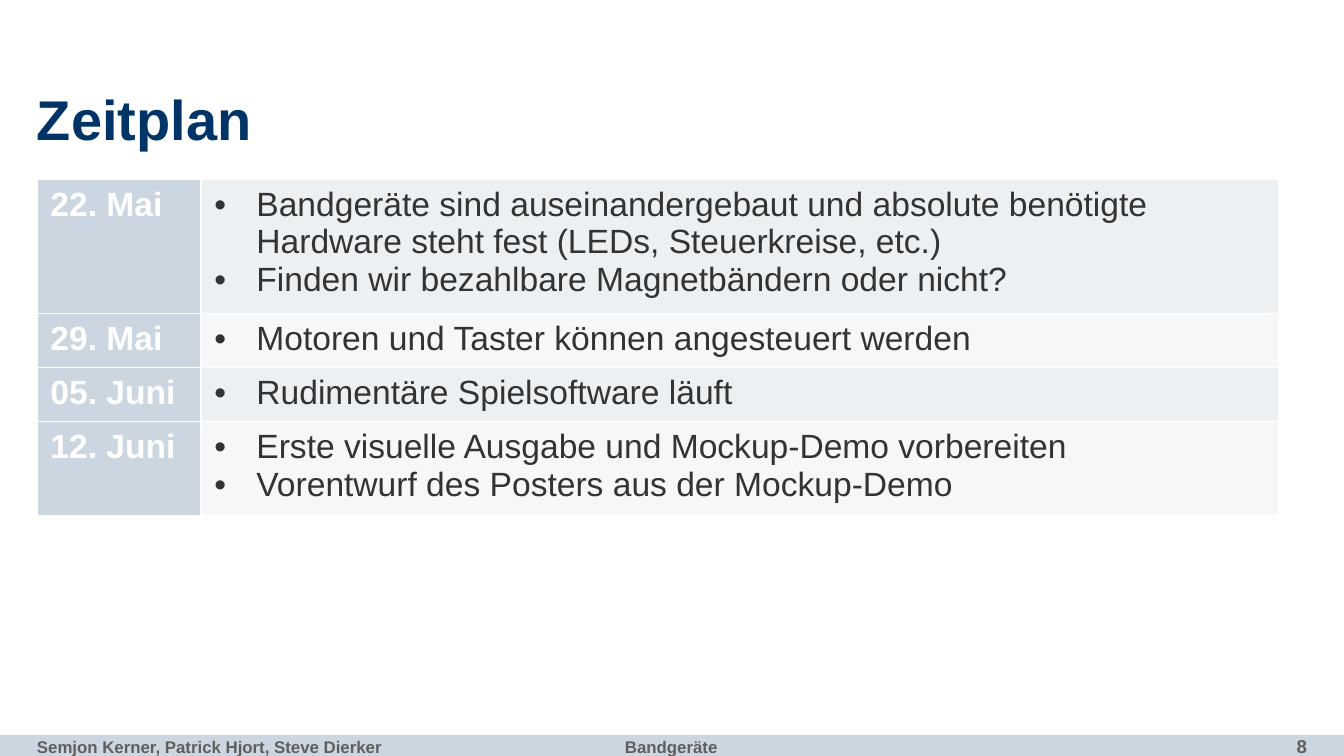
from lxml import etree
from pptx import Presentation
from pptx.dml.color import RGBColor
from pptx.enum.text import MSO_ANCHOR, PP_ALIGN
from pptx.enum.shapes import MSO_SHAPE
from pptx.oxml.ns import qn
from pptx.util import Emu, Pt

LEFT, RIGHT = PP_ALIGN.LEFT, PP_ALIGN.RIGHT
TOP, BOTTOM = MSO_ANCHOR.TOP, MSO_ANCHOR.BOTTOM
RECTANGLE = MSO_SHAPE.RECTANGLE

NAVY = RGBColor(0x00, 0x33, 0x66)
GREY = RGBColor(0x5F, 0x5F, 0x5F)
DARK = RGBColor(0x33, 0x33, 0x33)
WHITE = RGBColor(0xFF, 0xFF, 0xFF)
STEEL = RGBColor(0xCC, 0xD6, 0xE0)
BANDS = RGBColor(0xEC, 0xF0, 0xF3), RGBColor(0xF6, 0xF7, 0xF9)

SCHEDULE = [
    ("22. Mai", ["Bandgeräte sind auseinandergebaut und absolute benötigte "
                 "Hardware steht fest (LEDs, Steuerkreise, etc.)",
                 "Finden wir bezahlbare Magnetbändern oder nicht?"]),
    ("29. Mai", ["Motoren und Taster können angesteuert werden"]),
    ("05. Juni", ["Rudimentäre Spielsoftware läuft"]),
    ("12. Juni", ["Erste visuelle Ausgabe und Mockup-Demo vorbereiten",
                  "Vorentwurf des Posters aus der Mockup-Demo"]),
]
# text, box in px, size, colour, alignment, anchor, wrap
LABELS = [
    ("8", (1127, 736, 180, 21), 10, GREY, RIGHT, BOTTOM, True),
    ("Semjon Kerner, Patrick Hjort, Steve Dierker",
     (37, 737, 348, 21), 9, GREY, LEFT, TOP, False),
    ("Bandgeräte", (625, 737, 93, 21), 9, GREY, LEFT, TOP, False),
    ("Zeitplan", (37, 105, 1270, 47), 30, NAVY, LEFT, BOTTOM, True),
]
SLIDE_SIZE = 1344, 756
FOOTER_BAR = 0, 735, 1344, 21
TABLE_LEFT, TABLE_TOP = 37, 179
COLUMN_WIDTHS = 164, 1078
ROW_HEIGHT = 54  # one line; rows with more text grow
BULLET_INDENT = 42


def px(value):
    return Emu(round(value * 914400 / 134.4))


def style(paragraph, text, size, color, bold):
    run = paragraph.add_run()
    run.text = text
    for name, value in {"name": "Arial", "size": Pt(size), "bold": bold}.items():
        setattr(run.font, name, value)
    run.font.color.rgb = color


def add_label(slide, text, box, size, color, alignment, anchor, wrap):
    frame = slide.shapes.add_textbox(*map(px, box)).text_frame
    settings = {"margin_left": 0, "margin_right": 0, "margin_top": 0,
                "margin_bottom": 0, "vertical_anchor": anchor, "word_wrap": wrap}
    for name, value in settings.items():
        setattr(frame, name, value)
    paragraph = frame.paragraphs[0]
    paragraph.alignment = alignment
    style(paragraph, text, size, color, True)


def add_bullet(paragraph):
    properties = paragraph._p.get_or_add_pPr()
    properties.set("marL", str(px(BULLET_INDENT)))
    properties.set("indent", str(-px(BULLET_INDENT)))
    etree.SubElement(properties, qn("a:buFont"), typeface="Arial")
    etree.SubElement(properties, qn("a:buChar"), char="•")


def add_borders(cell):
    properties = cell._tc.get_or_add_tcPr()
    for index, side in enumerate("LRTB"):
        line = etree.Element(qn(f"a:ln{side}"), w=str(Pt(1)))
        fill = etree.SubElement(line, qn("a:solidFill"))
        etree.SubElement(fill, qn("a:srgbClr"), val=str(WHITE))
        properties.insert(index, line)


def fill_cell(cell, lines, fill, color, bold, bulleted):
    cell.fill.solid()
    cell.fill.fore_color.rgb = fill
    add_borders(cell)
    frame = cell.text_frame
    for index, line in enumerate(lines):
        paragraph = frame.add_paragraph() if index else frame.paragraphs[0]
        if bulleted:
            add_bullet(paragraph)
        style(paragraph, line, 18, color, bold)


def add_schedule(slide):
    table = slide.shapes.add_table(
        len(SCHEDULE), len(COLUMN_WIDTHS), px(TABLE_LEFT), px(TABLE_TOP),
        px(sum(COLUMN_WIDTHS)), px(ROW_HEIGHT * len(SCHEDULE))).table
    table.first_row = False
    table.first_col = True
    for column, width in zip(table.columns, COLUMN_WIDTHS):
        column.width = px(width)
    for index, (date, tasks) in enumerate(SCHEDULE):
        table.rows[index].height = px(ROW_HEIGHT)
        fill_cell(table.cell(index, 0), [date], STEEL, WHITE, True, False)
        fill_cell(table.cell(index, 1), tasks, BANDS[index % 2], DARK, False, True)


def main():
    presentation = Presentation()
    presentation.slide_width, presentation.slide_height = map(px, SLIDE_SIZE)
    slide = presentation.slides.add_slide(presentation.slide_layouts[6])
    bar = slide.shapes.add_shape(RECTANGLE, *map(px, FOOTER_BAR))
    bar.shadow.inherit = False
    bar.fill.solid()
    bar.fill.fore_color.rgb = STEEL
    bar.line.fill.background()
    for label in LABELS:
        add_label(slide, *label)
    add_schedule(slide)
    presentation.save("out.pptx")


if __name__ == "__main__":
    main()
